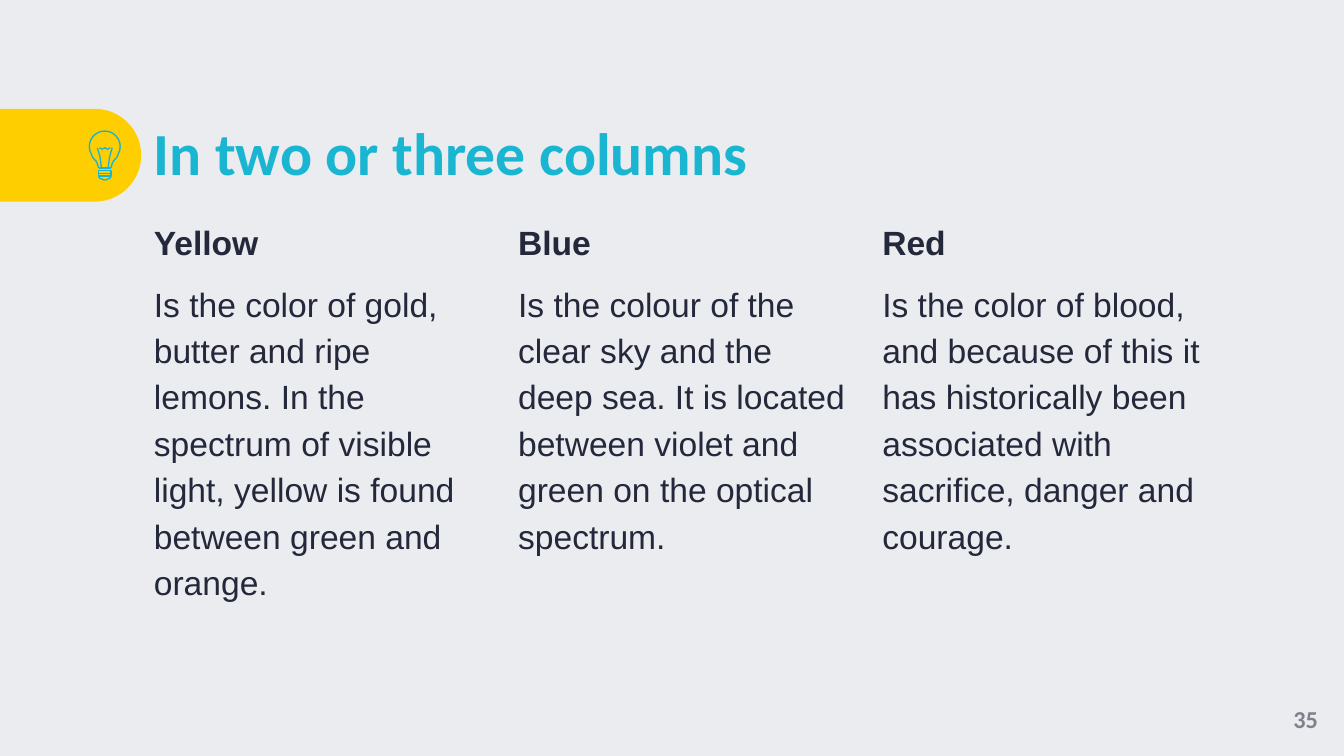
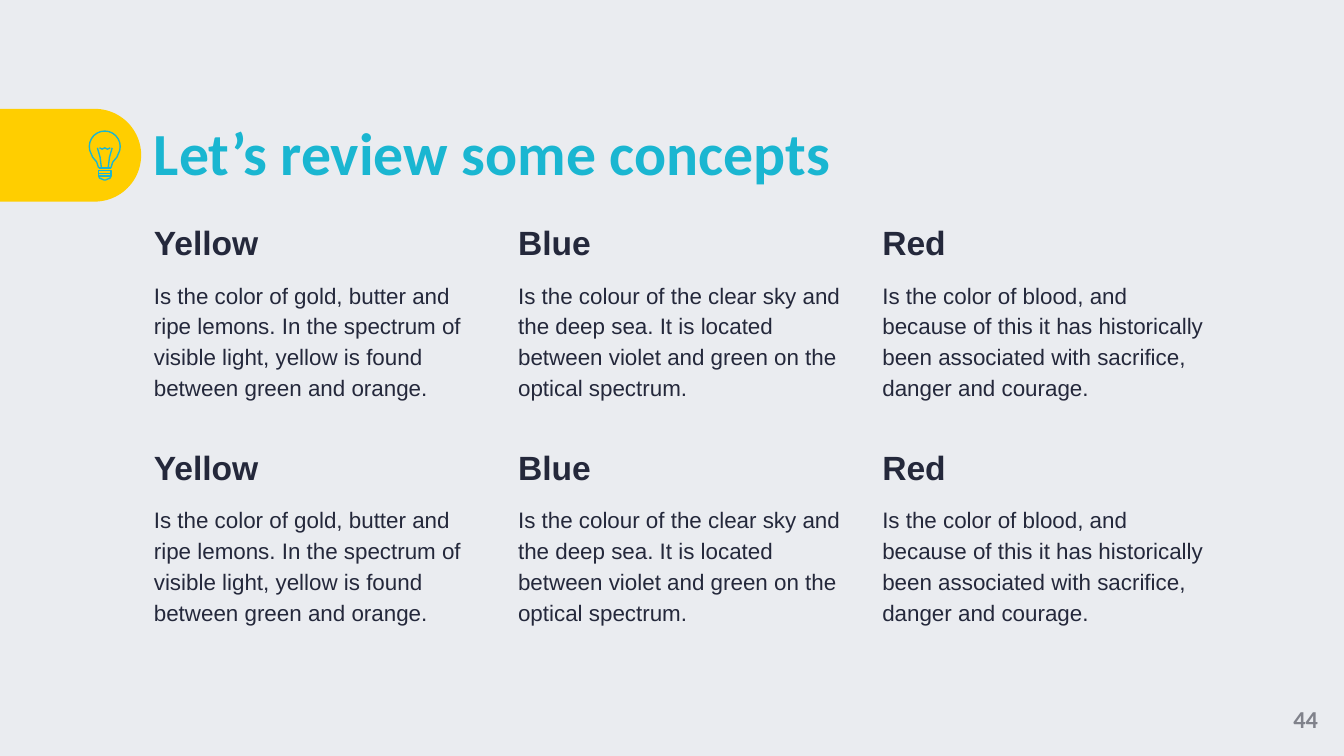
"""Build two colour-column slides with a shared title band, bulb icon and page number."""
import math

import pptx
import pptx.dml.color
import pptx.enum.shapes
import pptx.enum.text
import pptx.oxml
import pptx.util

RGBColor = pptx.dml.color.RGBColor
ANCHOR = pptx.enum.text.MSO_ANCHOR
ALIGN = pptx.enum.text.PP_ALIGN

PX = 4572
PAPER = RGBColor(0xEA, 0xEC, 0xF0)
YELLOW = RGBColor(0xFF, 0xCE, 0x00)
CYAN = RGBColor(0x1A, 0xB6, 0xD1)
INK = RGBColor(0x24, 0x28, 0x3B)
GREY = RGBColor(0x80, 0x82, 0x8B)

LEFT = 229
COLUMN_WIDTH = 492
COLUMN_STEP = 542
COLUMNS = [
    ("Yellow", "Is the color of gold, butter and ripe lemons. In the spectrum of "
               "visible light, yellow is found between green and orange."),
    ("Blue", "Is the colour of the clear sky and the deep sea. It is located "
             "between violet and green on the optical spectrum."),
    ("Red", "Is the color of blood, and because of this it has historically been "
            "associated with sacrifice, danger and courage."),
]

BULB_AXIS = 156
BULB_CENTRE = 218
BULB_RADIUS = 23


def mirror(points):
    return [(2 * BULB_AXIS - x, y) for x, y in points]


def bulb_glass():
    neck = [(165, 250), (168, 241), (174, 234)]
    arc = [(BULB_AXIS + BULB_RADIUS * math.cos(math.radians(a)),
            BULB_CENTRE + BULB_RADIUS * math.sin(math.radians(a)))
           for a in range(30, -211, -15)]
    return neck + arc + mirror(neck)[::-1]


def write(tf, text, font="Arial", size=18, color=INK, bold=False,
          align=ALIGN.LEFT, spacing=1.0, before=0):
    p = tf.add_paragraph() if tf.text else tf.paragraphs[0]
    pPr = p._p.get_or_add_pPr()
    pPr.set("marL", "0")
    pPr.set("indent", "0")
    pPr.append(pptx.oxml.parse_xml(
        '<a:buNone xmlns:a="http://schemas.openxmlformats.org/drawingml/2006/main"/>'))
    p.alignment = align
    p.line_spacing = spacing
    p.space_before = pptx.util.Pt(before)
    r = p.add_run()
    r.text = text
    r.font.name = font
    r.font.size = pptx.util.Pt(size)
    r.font.bold = bold
    r.font.color.rgb = color


class Deck:
    def __init__(self):
        self.prs = pptx.Presentation()
        self.prs.slide_width = 2000 * PX
        self.prs.slide_height = 1125 * PX
        fill = self.prs.slide_master.background.fill
        fill.solid()
        fill.fore_color.rgb = PAPER

    def slide(self, title, number):
        self.s = self.prs.slides.add_slide(self.prs.slide_layouts[4])
        self.free = list(self.s.placeholders)[1:]
        self.band()
        self.bulb()
        tf = self.frame(self.s.shapes.title, LEFT, 163, 1576, 138, ANCHOR.MIDDLE)
        write(tf, title, font="Calibri", size=32, color=CYAN, bold=True, spacing=0.9)
        tf = self.frame(self.box(), 1886, 1013, 114, 112, ANCHOR.MIDDLE)
        write(tf, number, font="Calibri", size=13, color=GREY, bold=True,
              align=ALIGN.CENTER)

    def box(self):
        return self.s.shapes.add_textbox(0, 0, PX, PX)

    def frame(self, sp, x, y, w, h, anchor=ANCHOR.TOP):
        sp.left, sp.top, sp.width, sp.height = (v * PX for v in (x, y, w, h))
        tf = sp.text_frame
        tf.word_wrap = True
        tf.auto_size = pptx.enum.text.MSO_AUTO_SIZE.NONE
        tf.vertical_anchor = anchor
        tf.margin_left = tf.margin_right = tf.margin_top = tf.margin_bottom = 0
        return tf

    def band(self):
        sp = self.s.shapes.add_shape(
            pptx.enum.shapes.MSO_SHAPE.ROUND_2_SAME_RECTANGLE,
            36 * PX, 126 * PX, 138 * PX, 210 * PX)
        sp.rotation = 90
        sp.adjustments[0] = 0.5
        sp.adjustments[1] = 0
        sp.shadow.inherit = False
        sp.fill.solid()
        sp.fill.fore_color.rgb = YELLOW
        sp.line.fill.background()

    def stroke(self, group, points, close=False):
        start, *rest = [(round(x * PX), round(y * PX)) for x, y in points]
        builder = group.shapes.build_freeform(*start)
        builder.add_line_segments(rest, close=close)
        sp = builder.convert_to_shape()
        sp.shadow.inherit = False
        sp.fill.background()
        self.ink(sp)

    def ink(self, sp):
        sp.line.color.rgb = CYAN
        sp.line.width = pptx.util.Pt(0.75)

    def collar(self, group):
        cxn = group.shapes.add_connector(
            pptx.enum.shapes.MSO_CONNECTOR.STRAIGHT,
            147 * PX, 250 * PX, 165 * PX, 250 * PX)
        cxn._element.spPr.append(pptx.oxml.parse_xml(
            '<a:effectLst xmlns:a="http://schemas.openxmlformats.org/drawingml/2006/main"/>'))
        self.ink(cxn)

    def bulb(self):
        group = self.s.shapes.add_group_shape()
        for top in (258, 254):
            self.stroke(group, [(147, top), (165, top), (165, top + 4), (147, top + 4)],
                        True)
        cap = [(147, 262), (148, 265), (155, 268)]
        self.stroke(group, cap + mirror(cap)[::-1], True)
        filament = [(151, 250), (149, 234), (145, 220)]
        self.stroke(group, filament)
        self.stroke(group, bulb_glass())
        self.stroke(group, mirror(filament))
        self.stroke(group, [(148, 220), (152, 222), (156, 220), (160, 222), (164, 220)])
        self.collar(group)

    def columns(self, top, height, size):
        for i, (heading, text) in enumerate(COLUMNS):
            sp = self.free.pop(0) if self.free else self.box()
            tf = self.frame(sp, LEFT + i * COLUMN_STEP, top, COLUMN_WIDTH, height)
            write(tf, heading, bold=True, spacing=1.15)
            write(tf, text, size=size, spacing=1.15, before=8)

    def finish(self):
        for sp in self.free:
            sp._element.getparent().remove(sp._element)


def main():
    deck = Deck()
    deck.slide("In two or three columns", "35")
    deck.columns(322, 658, 18)
    deck.finish()
    deck.slide("Let’s review some concepts", "44")
    for top in (322, 656):
        deck.columns(top, 318, 12)
    deck.finish()
    deck.prs.save("out.pptx")


if __name__ == "__main__":
    main()
